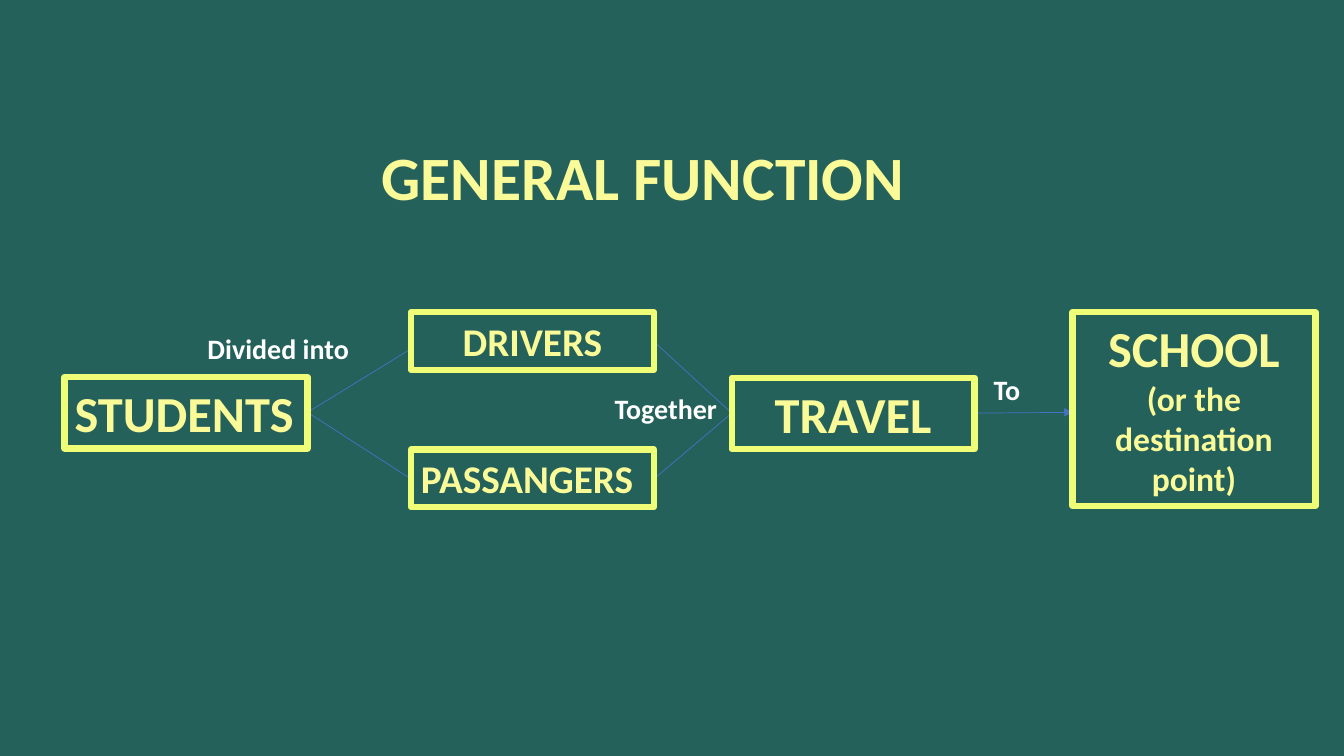
from pptx import Presentation
from pptx.dml.color import RGBColor
from pptx.enum.shapes import MSO_CONNECTOR
from pptx.enum.text import MSO_AUTO_SIZE, PP_ALIGN
from pptx.oxml.ns import qn
from pptx.util import Cm, Pt
from lxml.etree import SubElement


def color(hex_string):
    return RGBColor.from_string(hex_string)


def add_text(left, top, width, height, lines, text_color, align=PP_ALIGN.LEFT):
    shape = slide.shapes.add_textbox(Cm(left), Cm(top), Cm(width), Cm(height))
    frame = shape.text_frame
    frame.word_wrap = True
    frame.auto_size = MSO_AUTO_SIZE.SHAPE_TO_FIT_TEXT
    frame.text = "\n".join(text for text, size in lines)
    for paragraph, (text, size) in zip(frame.paragraphs, lines):
        paragraph.alignment = align
        paragraph.font.name = "Calibri"
        paragraph.font.size = Pt(size)
        paragraph.font.bold = True
        paragraph.font.color.rgb = color(text_color)
    return shape


presentation = Presentation()
presentation.slide_width = Cm(33.87)
presentation.slide_height = Cm(19.05)
slide = presentation.slides.add_slide(presentation.slide_layouts[6])
slide.background.fill.solid()
slide.background.fill.fore_color.rgb = color("25615B")

YELLOW = "FAFA98"
WHITE = "FFFFFF"

# Title
title = add_text(9.02, 3.38, 14.17, 2.13, [(" GENERAL FUNCTION", 44)], YELLOW)
title.text_frame.word_wrap = False

# Columns of the flow
BOX_WIDTH = 6.12
STUDENTS, GROUPS, TRAVEL, SCHOOL = 1.63, 10.36, 18.44, 27.03

# Connecting lines
links = [
    (STUDENTS + BOX_WIDTH, 10.39, GROUPS, 8.79),
    (STUDENTS + BOX_WIDTH, 10.39, GROUPS, 12.07),
    (GROUPS + BOX_WIDTH, 8.61, TRAVEL, 10.41),
    (GROUPS + BOX_WIDTH, 12.07, TRAVEL, 10.41),
    (TRAVEL + BOX_WIDTH, 10.41, SCHOOL, 10.39),
]
for link in links:
    connector = slide.shapes.add_connector(
        MSO_CONNECTOR.STRAIGHT, *[Cm(value) for value in link])
    connector.line.color.rgb = color("4472C4")
    connector.line.width = Pt(0.5)
    SubElement(connector._element.spPr, qn("a:effectLst"))

# Arrowhead on the last link, into the school
SubElement(connector.line._get_or_add_ln(), qn("a:tailEnd"), type="triangle")

# Outlined boxes
boxes = [
    (STUDENTS, 9.5, 1.8, [("STUDENTS", 36)], PP_ALIGN.LEFT),
    (GROUPS, 7.87, 1.45, [("DRIVERS", 28)], PP_ALIGN.CENTER),
    (GROUPS, 11.33, 1.45, [("PASSANGERS", 28)], PP_ALIGN.LEFT),
    (TRAVEL, 9.52, 1.8, [("TRAVEL", 36)], PP_ALIGN.CENTER),
    (SCHOOL, 7.87, 4.88, [("SCHOOL", 36), ("(or the destination point)", 24)],
     PP_ALIGN.CENTER),
]
for left, top, height, lines, align in boxes:
    box = add_text(left, top, BOX_WIDTH, height, lines, YELLOW, align)
    box.line.color.rgb = color("F0FD77")
    box.line.width = Pt(4.5)

# Labels beside the links
labels = [
    (4.98, 8.23, 4.67, "Divided into"),
    (15.24, 9.73, 4.67, "Together"),
    (24.79, 9.27, 1.24, "To"),
]
for left, top, width, text in labels:
    add_text(left, top, width, 1.12, [(text, 20)], WHITE)

presentation.save("out.pptx")
